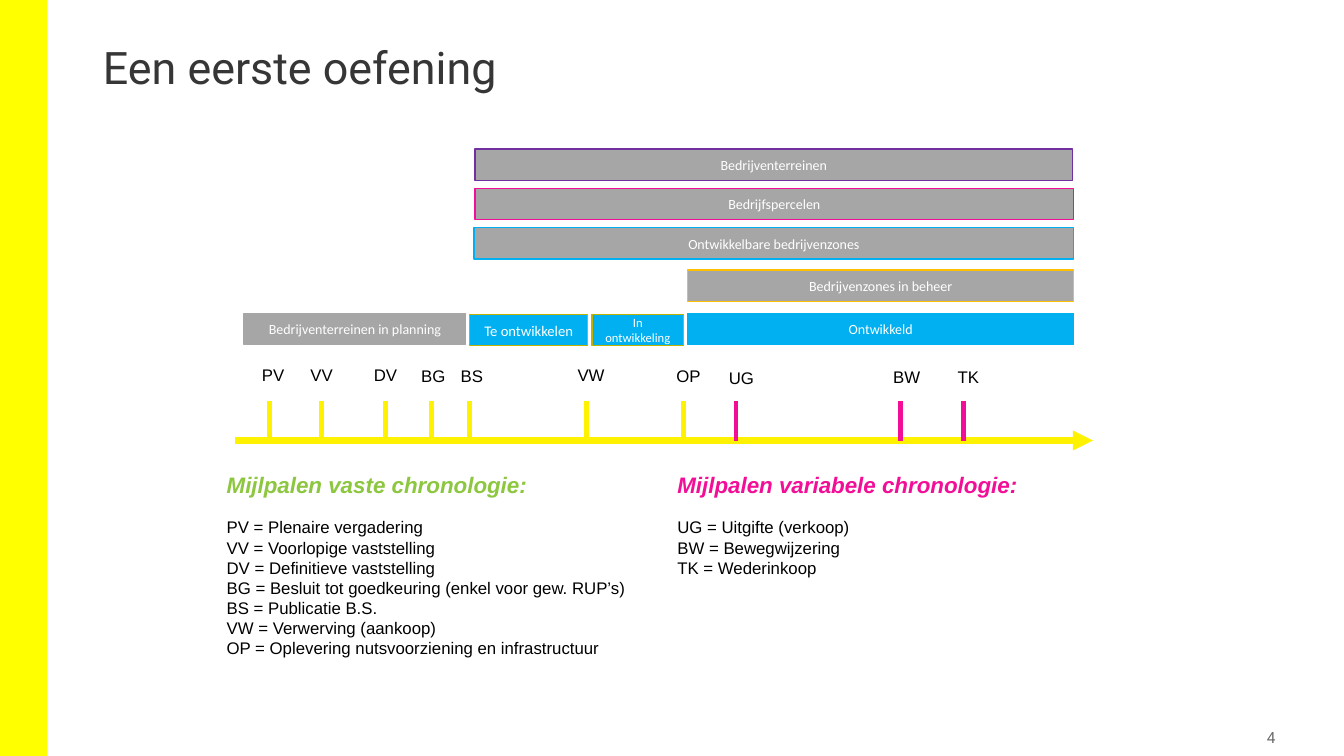
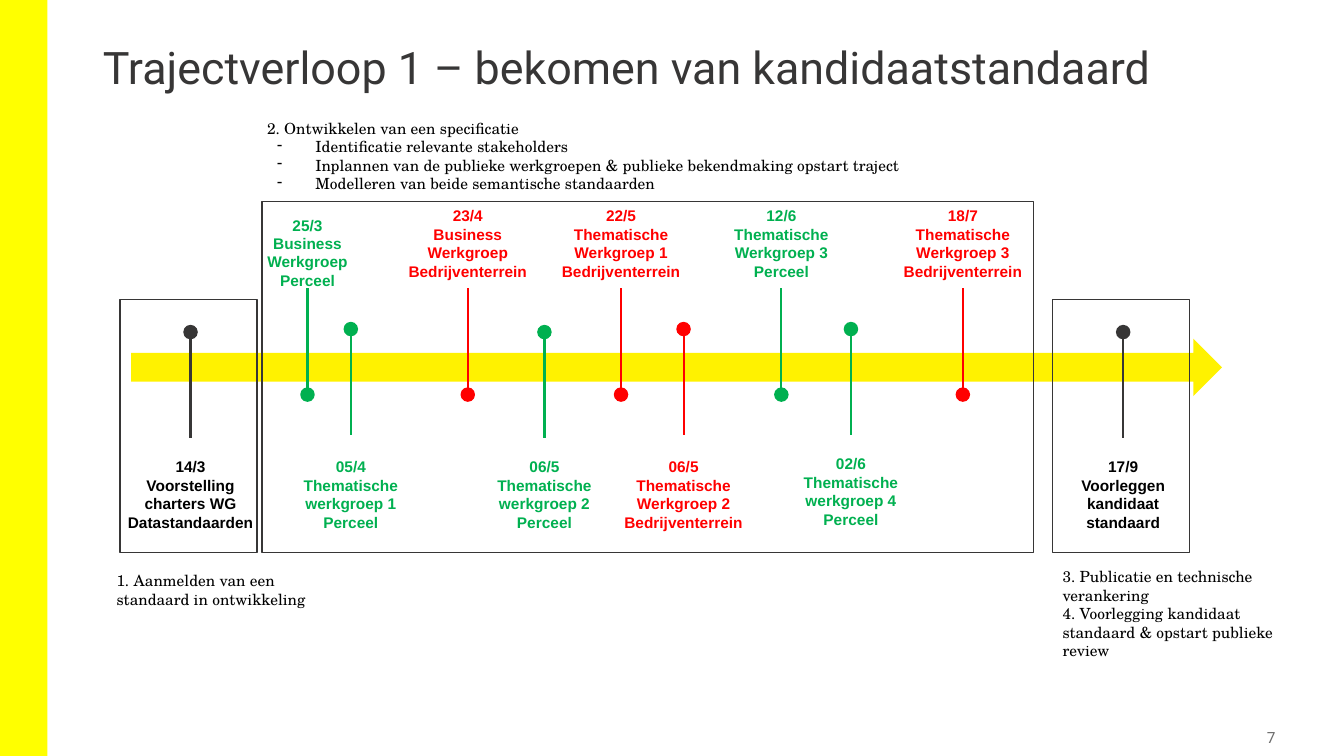
from pptx import Presentation
from pptx.dml.color import RGBColor
from pptx.enum.shapes import MSO_CONNECTOR as CONNECTOR, MSO_SHAPE as SHAPE
from pptx.enum.text import MSO_ANCHOR as ANCHOR, PP_ALIGN as ALIGN
from pptx.oxml.ns import qn
from pptx.util import Inches, Pt
from lxml.etree import SubElement

COLORS = {
    "band": "FFFF00", "yellow": "FFF200", "olive": "BDB300", "gold": "FFC000",
    "pink": "F20E96", "purple": "7030A0", "blue": "00B0F0", "lime": "8DC63F",
    "green": "00B050", "red": "FF0000", "gray": "A6A6A6", "dark": "373636",
    "number": "6B6B6B", "black": "000000", "white": "FFFFFF",
}
SERIF = "TeX Gyre Schola"


def color(name):
    return RGBColor.from_string(COLORS[name])


def add_item(page, at, lines=(), kind=None, fill=None, line=None, size=11,
             font="Arial", ink="black", bold=False, align=ALIGN.LEFT,
             anchor=ANCHOR.TOP):
    """Add a preset shape, or a text box if kind is None, with one paragraph per line."""
    place = [Inches(value) for value in at]
    if kind is None:
        item = page.shapes.add_textbox(*place)
    else:
        item = page.shapes.add_shape(kind, *place)
        item.shadow.inherit = False
        for part, name in ((item.fill, fill), (item.line.fill, line)):
            if name:
                part.solid()
                part.fore_color.rgb = color(name)
            else:
                part.background()
        if line:
            item.line.width = Pt(1)
    frame = item.text_frame
    frame.word_wrap = True
    frame.vertical_anchor = anchor
    for index, text in enumerate(lines):
        para = frame.add_paragraph() if index else frame.paragraphs[0]
        para.alignment = align
        span = para.add_run()
        span.text = text
        span.font.size = Pt(size)
        span.font.name = font
        span.font.bold = bold
        span.font.color.rgb = color(ink)
    return item


deck = Presentation()
deck.slide_width, deck.slide_height = Inches(13.33), Inches(7.5)
layout = deck.slide_layouts[5]

# Shared parts: title place, yellow band, page number
heading = layout.placeholders[0]
heading.left, heading.top = Inches(0.92), Inches(0.4)
heading.width, heading.height = Inches(11.5), Inches(1.08)

pages = []
for title, number in (("Een eerste oefening", "4"),
                      ("Trajectverloop 1 – bekomen van kandidaatstandaard", "7")):
    page = deck.slides.add_slide(layout)
    frame = page.shapes.title.text_frame
    frame.vertical_anchor = ANCHOR.TOP
    para = frame.paragraphs[0]
    para.alignment = ALIGN.LEFT
    para.line_spacing = 0.9
    span = para.add_run()
    span.text = title
    span.font.size, span.font.name = Pt(32), "Roboto"
    span.font.color.rgb = color("dark")
    box = add_item(page, (11.7, 7.17, 1, 0.29), [number], font="Roboto",
                   ink="number", align=ALIGN.RIGHT, anchor=ANCHOR.MIDDLE)
    frame = box.text_frame
    frame.margin_left = frame.margin_right = Inches(0.05)
    frame.margin_top = frame.margin_bottom = Inches(0.05)
    pages.append(page)
exercise, route = pages

band = add_item(exercise, (0, 0, 0.47, 7.5), kind=SHAPE.RECTANGLE, fill="band")
band.element.nvSpPr.cNvPr.set("id", "20")
layout.shapes.element.insert(2, band.element)

# Lines of both pages: page, start, end, colour, width
lines = [(exercise, (2.33, 4.37), (10.84, 4.37), "yellow", 4.75)]

# Exercise: milestones on the time axis
for name, x, label_left, label_top, tint in (
        ("PV", 2.67, 2.5, 3.57, "yellow"), ("VV", 3.19, 2.98, 3.57, "yellow"),
        ("DV", 3.82, 3.61, 3.57, "yellow"), ("BG", 4.28, 4.08, 3.58, "yellow"),
        ("BS", 4.66, 4.47, 3.58, "yellow"), ("VW", 5.82, 5.63, 3.57, "yellow"),
        ("OP", 6.78, 6.61, 3.58, "yellow"), ("UG", 7.3, 7.13, 3.6, "pink"),
        ("BW", 8.93, 8.76, 3.59, "pink"), ("TK", 9.56, 9.4, 3.59, "pink")):
    lines.append((exercise, (x, 3.98), (x, 4.38), tint, 3.5))
    add_item(exercise, (label_left, label_top, 0.5, 0.3), [name], size=12)

# Exercise: period bars
for name, left, top, width, fill, outline, size in (
        ("Bedrijventerreinen", 4.71, 1.48, 5.93, "gray", "purple", 10),
        ("Bedrijfspercelen", 4.71, 1.87, 5.94, "gray", "pink", 10),
        ("Ontwikkelbare bedrijvenzones", 4.7, 2.26, 5.95, "gray", "blue", 10),
        ("Bedrijvenzones in beheer", 6.82, 2.68, 3.83, "gray", "gold", 10),
        ("Bedrijventerreinen in planning", 2.42, 3.11, 2.2, "gray", "gray", 10),
        ("Te ontwikkelen", 4.66, 3.12, 1.17, "blue", "olive", 10.5),
        ("In ontwikkeling", 5.87, 3.12, 0.91, "blue", "olive", 9),
        ("Ontwikkeld", 6.82, 3.11, 3.83, "blue", "blue", 10)):
    add_item(exercise, (left, top, width, 0.31), [name], SHAPE.RECTANGLE, fill,
             outline, size, "Calibri", "white", align=ALIGN.CENTER,
             anchor=ANCHOR.MIDDLE)

# Exercise: legends
for left, height, tint, legend in (
        (2.15, 1.99, "lime", [
            "Mijlpalen vaste chronologie:",
            "PV = Plenaire vergadering",
            "VV = Voorlopige vaststelling",
            "DV = Definitieve vaststelling",
            "BG = Besluit tot goedkeuring (enkel voor gew. RUP’s)",
            "BS = Publicatie B.S.",
            "VW = Verwerving (aankoop)",
            "OP = Oplevering nutsvoorziening en infrastructuur"]),
        (6.62, 1.18, "pink", [
            "Mijlpalen variabele chronologie:",
            "UG = Uitgifte (verkoop)",
            "BW = Bewegwijzering",
            "TK = Wederinkoop"])):
    box = add_item(exercise, (left, 4.62, 4.17, height), legend, size=12)
    para = box.text_frame.paragraphs[0]
    para.space_after = Pt(14)
    font = para.runs[0].font
    font.size, font.bold, font.italic = Pt(16), True, True
    font.color.rgb = color(tint)

# Route: arrow and meetings; a meeting above the arrow has its dot below it
add_item(route, (1.3, 3.36, 10.82, 0.57), kind=SHAPE.RIGHT_ARROW, fill="yellow")
DOT, STEM, LABEL = 0.13, 0.99, 1.65
for x, dot_top, label_top, tint, label in (
        (1.89, 3.23, 4.49, "dark", ["14/3", "Voorstelling charters WG Datastandaarden"]),
        (3.05, 3.85, 2.09, "green", ["25/3", "Business Werkgroep", "Perceel"]),
        (3.48, 3.2, 4.49, "green", ["05/4", "Thematische werkgroep 1 Perceel"]),
        (4.64, 3.85, 2, "red", ["23/4", "Business Werkgroep Bedrijventerrein"]),
        (5.4, 3.23, 4.49, "green", ["06/5", "Thematische werkgroep 2 Perceel"]),
        (6.16, 3.85, 2, "red", ["22/5", "Thematische Werkgroep 1 Bedrijventerrein"]),
        (6.78, 3.2, 4.49, "red", ["06/5", "Thematische Werkgroep 2 Bedrijventerrein"]),
        (7.75, 3.85, 2, "green", ["12/6", "Thematische Werkgroep 3 Perceel"]),
        (8.44, 3.2, 4.46, "green", ["02/6", "Thematische werkgroep 4 Perceel"]),
        (9.55, 3.85, 2, "red", ["18/7", "Thematische Werkgroep 3 Bedrijventerrein"]),
        (11.14, 3.23, 4.49, "dark", ["17/9", "Voorleggen kandidaat standaard"])):
    above = label_top < dot_top
    start = dot_top if above else dot_top + DOT
    end = start - STEM if above else start + STEM
    lines.append((route, (x, start), (x, end), tint, 1.5))
    add_item(route, (x - DOT / 2, dot_top, DOT, DOT), kind=SHAPE.OVAL,
             fill=tint, line=tint)
    add_item(route, (x - LABEL / 2, label_top, LABEL, 0.84), label, bold=True,
             ink="black" if tint == "dark" else tint, align=ALIGN.CENTER)

# Route: phase frames and their notes
for left, top, width, height in ((1.19, 2.97, 1.36, 2.51), (2.6, 2, 7.65, 3.48),
                                 (10.44, 2.97, 1.36, 2.51)):
    add_item(route, (left, top, width, height), kind=SHAPE.RECTANGLE, line="dark")

add_item(route, (1.06, 5.62, 2.36, 0.47),
         ["1. Aanmelden van een standaard in ontwikkeling"], font=SERIF)
add_item(route, (10.44, 5.58, 2.36, 1.03),
         ["3. Publicatie en technische verankering",
          "4. Voorlegging kandidaat standaard & opstart publieke review"], font=SERIF)
steps = add_item(route, (2.55, 1.13, 7.69, 0.84), [
    "2. Ontwikkelen van een specificatie",
    "Identificatie relevante stakeholders",
    "Inplannen van de publieke werkgroepen & publieke bekendmaking opstart traject",
    "Modelleren van beide semantische standaarden"], font=SERIF)
for para in steps.text_frame.paragraphs[1:]:
    props = para._p.get_or_add_pPr()
    props.set("marL", str(Inches(0.48)))
    props.set("indent", str(Inches(-0.38)))
    SubElement(props, qn("a:buChar")).set("char", "-")

for page, start, end, tint, width in lines:
    connector = page.shapes.add_connector(
        CONNECTOR.STRAIGHT, *[Inches(value) for value in start + end])
    connector.line.color.rgb = color(tint)
    connector.line.width = Pt(width)
    SubElement(connector.element.spPr, qn("a:effectLst"))
    if start[1] == end[1]:
        SubElement(connector.line._get_or_add_ln(), qn("a:tailEnd")).set("type", "triangle")

deck.save("out.pptx")
